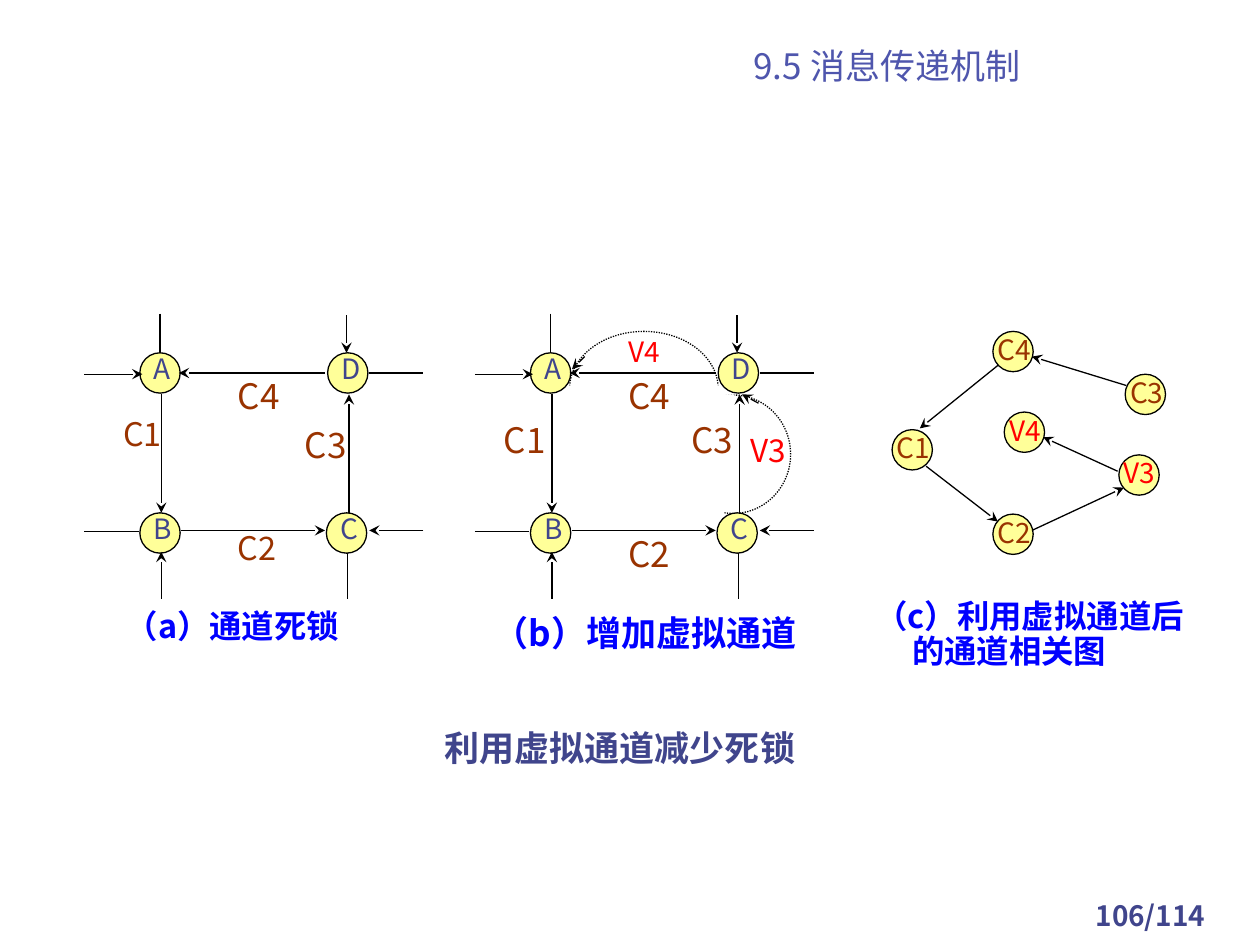
from dataclasses import dataclass

from lxml import etree
from pptx import Presentation
from pptx.dml.color import RGBColor
from pptx.enum.dml import MSO_LINE
from pptx.enum.shapes import MSO_CONNECTOR, MSO_SHAPE
from pptx.enum.text import MSO_ANCHOR, PP_ALIGN
from pptx.oxml.ns import qn
from pptx.slide import Slide
from pptx.util import Inches, Pt

BLACK = RGBColor(0x00, 0x00, 0x00)
WHITE = RGBColor(0xFF, 0xFF, 0xFF)
YELLOW = RGBColor(0xFF, 0xFF, 0x99)
BROWN = RGBColor(0x99, 0x33, 0x00)
RED = RGBColor(0xFF, 0x00, 0x00)
BLUE = RGBColor(0x00, 0x00, 0xFF)
NAVY = RGBColor(0x40, 0x45, 0x8C)
INDIGO = RGBColor(0x4F, 0x56, 0xAD)

OVAL = MSO_SHAPE.OVAL
RECTANGLE = MSO_SHAPE.RECTANGLE
STRAIGHT = MSO_CONNECTOR.STRAIGHT
DOTTED = MSO_LINE.ROUND_DOT
CENTER = PP_ALIGN.CENTER
JUSTIFY = PP_ALIGN.JUSTIFY
TOP = MSO_ANCHOR.TOP
BOTTOM = MSO_ANCHOR.BOTTOM

NODE_SIZE = 0.32
PANEL_NODES = [("A", 1.11, 2.8), ("B", 1.11, 4.07), ("C", 2.59, 4.07), ("D", 2.6, 2.8)]
PANEL_ARROWS = [
    (0.67, 2.97, 1.13, 2.97),
    (2.58, 2.96, 1.42, 2.96),
    (1.28, 3.13, 1.28, 4.07),
    (1.28, 4.75, 1.28, 4.38),
    (2.75, 2.5, 2.75, 2.8),
    (2.77, 4.07, 2.77, 3.13),
    (1.44, 4.21, 2.58, 4.21),
    (3.36, 4.21, 2.93, 4.21),
]
PANEL_LINES = [
    (1.27, 2.49, 1.27, 2.8),
    (0.67, 4.22, 1.1, 4.22),
    (2.76, 4.75, 2.76, 4.39),
    (2.93, 2.96, 3.36, 2.96),
]
PANELS = [
    (0, [("C1", 0.88, 3.27, 18.5), ("C2", 1.79, 4.18, 18.5),
         ("C3", 2.32, 3.31, 20), ("C4", 1.79, 2.92, 20)]),
    (3.1, [("C1", 3.9, 3.27, 20), ("C2", 4.89, 4.18, 20),
           ("C3", 5.39, 3.27, 20), ("C4", 4.89, 2.92, 20)]),
]
ARC_COVERS = [
    (4.51, 3.06, 1.19, 0.5),
    (5.65, 3.06, 0.07, 0.14),
    (5.67, 3.13, 0.16, 0.03),
    (5.32, 3.54, 0.43, 0.57),
    (5.74, 3.98, 0.11, 0.07),
]
VIRTUAL_TIPS = [(4.64, 2.83, 4.54, 2.93), (6.02, 3.2, 5.89, 3.13)]
GRAPH_NODES = [
    ("C4", 7.88, 2.63, BROWN),
    ("C2", 7.88, 4.08, BROWN),
    ("V4", 7.97, 3.27, RED),
    ("C1", 7.08, 3.41, BROWN),
    ("C3", 8.93, 2.97, BROWN),
    ("V3", 8.88, 3.61, RED),
]
GRAPH_ARROWS = [
    (7.92, 2.9, 7.3, 3.4),
    (7.35, 3.7, 7.92, 4.14),
    (8.19, 4.21, 8.92, 3.87),
    (8.87, 3.74, 8.28, 3.47),
    (8.94, 3.06, 8.19, 2.83),
]


@dataclass
class Diagram:
    """Holds the slide and the style shared by its elements."""

    page: Slide
    font_name: str = "Noto Sans CJK SC"
    line_width: float = 0.75

    def format_paragraph(self, para, size, color, bold=False, align=JUSTIFY, spacing=None):
        para.alignment = align
        para.line_spacing = spacing
        para.font.size = Pt(size)
        para.font.bold = bold
        para.font.color.rgb = color
        para.font.name = self.font_name
        defaults = para._p.pPr.find(qn("a:defRPr"))
        etree.SubElement(defaults, qn("a:ea")).set("typeface", self.font_name)

    def title(self, text, left, top, width, height):
        box = self.page.shapes.title
        box.left, box.top = Inches(left), Inches(top)
        box.width, box.height = Inches(width), Inches(height)
        frame = box.text_frame
        frame.margin_left = frame.margin_right = frame.margin_top = frame.margin_bottom = 0
        frame.vertical_anchor = BOTTOM
        frame.text = text
        self.format_paragraph(frame.paragraphs[0], 20, INDIGO, align=CENTER)

    def text(self, text, left, top, width, height, size, color, **style):
        box = self.page.shapes.add_textbox(
            Inches(left), Inches(top), Inches(width), Inches(height))
        frame = box.text_frame
        frame.word_wrap = True
        frame.vertical_anchor = TOP
        frame.text = text
        for para in frame.paragraphs:
            self.format_paragraph(para, size, color, **style)
        return frame

    def shape(self, kind, left, top, width, height, fill=None, dash=None, outlined=True):
        shape = self.page.shapes.add_shape(
            kind, Inches(left), Inches(top), Inches(width), Inches(height))
        shape.shadow.inherit = False
        if fill is None:
            shape.fill.background()
        else:
            shape.fill.solid()
            shape.fill.fore_color.rgb = fill
        if outlined:
            shape.line.color.rgb = BLACK
            shape.line.width = Pt(self.line_width)
            shape.line.dash_style = dash
        else:
            shape.line.fill.background()
        return shape

    def line(self, start_x, start_y, end_x, end_y, arrow=True):
        line = self.page.shapes.add_connector(
            STRAIGHT, Inches(start_x), Inches(start_y), Inches(end_x), Inches(end_y))
        line.line.color.rgb = BLACK
        line.line.width = Pt(self.line_width)
        properties = line._element.spPr
        if arrow:
            etree.SubElement(properties.find(qn("a:ln")), qn("a:tailEnd")).set("type", "stealth")
        etree.SubElement(properties, qn("a:effectLst"))

    def node(self, label, left, top, color, shift_x, shift_y):
        self.shape(OVAL, left, top, NODE_SIZE, NODE_SIZE, fill=YELLOW)
        self.text(label, left + shift_x, top + shift_y, 0.55, 0.47, 16, color)

    def panel(self, offset, channels):
        for label, left, top in PANEL_NODES:
            self.node(label, left + offset, top, NAVY, 0.01, -0.06)
        for lines, arrow in ((PANEL_ARROWS, True), (PANEL_LINES, False)):
            for start_x, start_y, end_x, end_y in lines:
                self.line(start_x + offset, start_y, end_x + offset, end_y, arrow)
        for label, left, top, size in channels:
            self.text(label, left, top, 0.59, 0.44, size, BROWN,
                      spacing=0.9 if size < 20 else None)

    def virtual_channels(self):
        self.shape(OVAL, 5.35, 3.15, 0.94, 0.91, dash=DOTTED).rotation = 270
        self.shape(OVAL, 4.52, 2.63, 1.18, 0.91, dash=DOTTED)
        for cover in ARC_COVERS:
            self.shape(RECTANGLE, *cover, fill=WHITE, outlined=False)
        for tip in VIRTUAL_TIPS:
            self.line(*tip)
        self.text("V4", 4.89, 2.61, 0.59, 0.44, 16, RED)
        self.text("V3", 5.86, 3.37, 0.59, 0.44, 18, RED)

    def dependency_graph(self):
        for label, left, top, color in GRAPH_NODES:
            self.node(label, left, top, color, -0.06, -0.04)
        for arrow in GRAPH_ARROWS:
            self.line(*arrow)


def main():
    deck = Presentation()
    deck.slide_width, deck.slide_height = Inches(10), Inches(7.5)
    diagram = Diagram(deck.slides.add_slide(deck.slide_layouts[5]))
    diagram.title("9.5 消息传递机制", 4.25, 0.27, 5.58, 0.42)
    diagram.virtual_channels()
    for offset, channels in PANELS:
        diagram.panel(offset, channels)
    diagram.dependency_graph()
    diagram.text("（a）通道死锁", 0.9, 4.8, 2.14, 0.45, 18.5, BLUE, bold=True, spacing=0.9)
    diagram.text("（b）增加虚拟通道", 3.82, 4.8, 2.93, 0.45, 20, BLUE, bold=True)
    caption = diagram.text("（c）利用虚拟通道后\n的通道相关图", 6.85, 4.72, 2.88, 0.85,
                           18.5, BLUE, bold=True, spacing=0.9)
    caption.paragraphs[1]._p.pPr.set("marL", str(Inches(0.29)))
    diagram.text("利用虚拟通道减少死锁", 3.43, 5.72, 3.7, 0.44, 20, NAVY, bold=True, align=None)
    diagram.text("106/114", 8.42, 7.08, 1.42, 0.33, 16, NAVY, bold=True, align=CENTER)
    deck.save("out.pptx")


if __name__ == "__main__":
    main()
